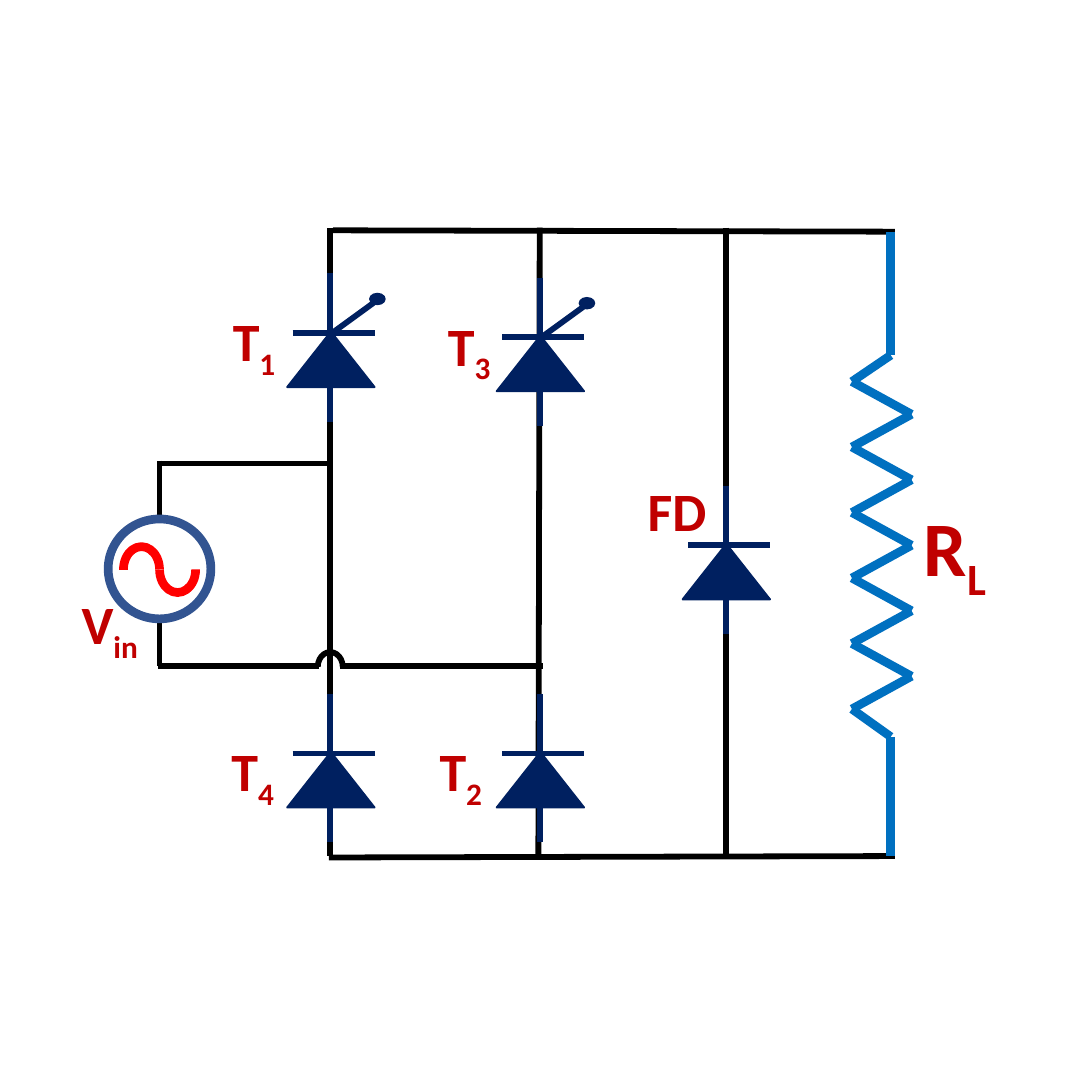
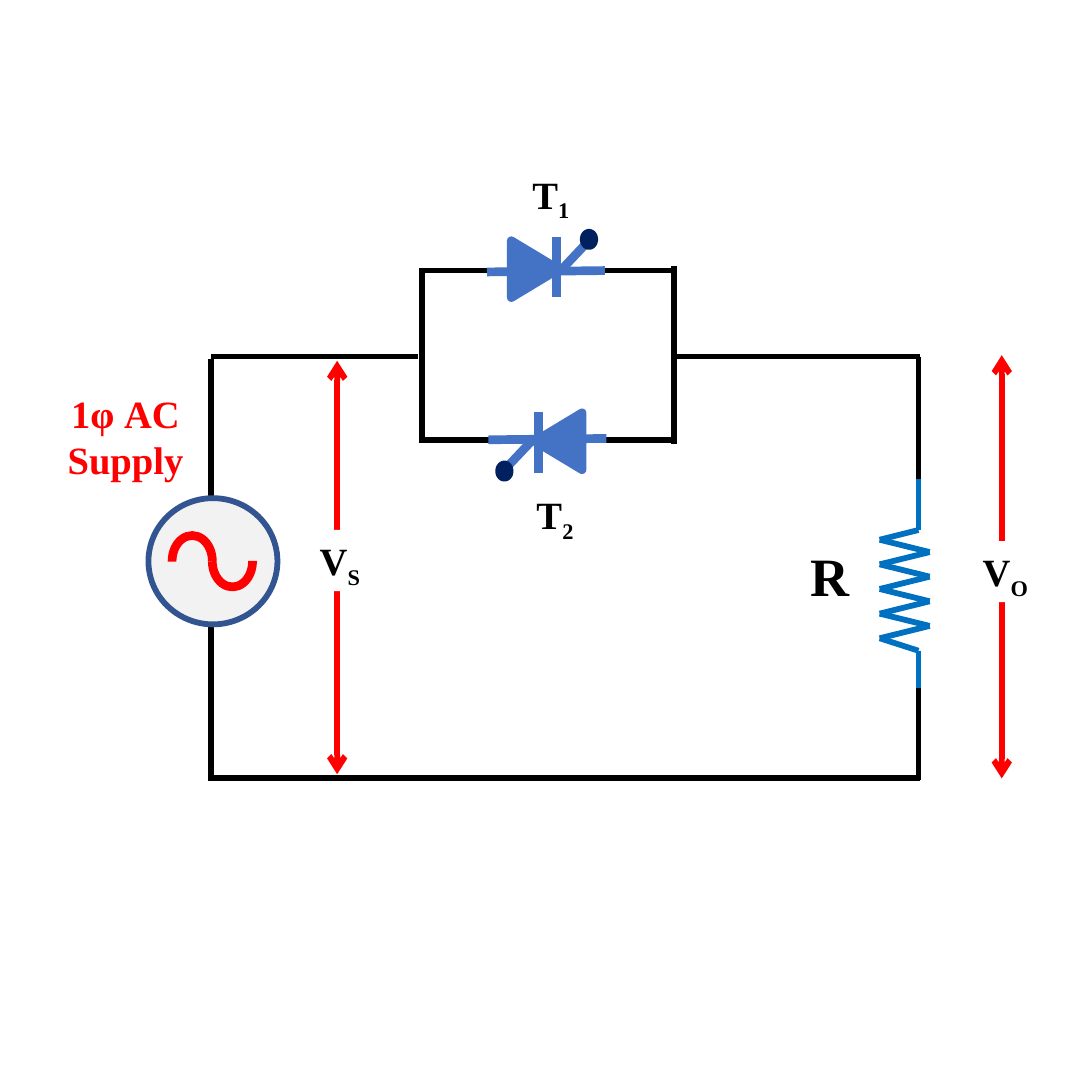
from itertools import pairwise

from lxml.etree import SubElement
from pptx import Presentation
from pptx.dml.color import RGBColor
from pptx.enum.shapes import MSO_CONNECTOR as Link, MSO_SHAPE as Shape
from pptx.enum.text import MSO_AUTO_SIZE as Fit, PP_ALIGN as Align
from pptx.oxml.ns import qn
from pptx.util import Inches, Pt

BLACK, WHITE, RED = "000000", "FFFFFF", "FF0000"
NAVY, BLUE, SKY, STEEL = "002060", "4472C4", "0070C0", "325491"
CRIMSON, GRAY = "C00000", "F2F2F2"
color = RGBColor.from_string


def wire(page, tint, width, *points):
    for start, end in pairwise(points):
        link = page.shapes.add_connector(
            Link.STRAIGHT, *map(Inches, (*start, *end)))
        link.line.color.rgb = color(tint)
        link.line.width = Pt(width)
        SubElement(link._element.spPr, qn("a:effectLst"))
    return link


def form(page, kind, box, fill=None, edge=None, width=1, turn=0):
    shape = page.shapes.add_shape(kind, *map(Inches, box))
    shape.shadow.inherit = False
    shape.rotation = turn
    if fill:
        shape.fill.solid()
        shape.fill.fore_color.rgb = color(fill)
    else:
        shape.fill.background()
    if edge:
        shape.line.color.rgb = color(edge)
        shape.line.width = Pt(width)
    else:
        shape.line.fill.background()
    if kind == Shape.ARC:
        shape.adjustments[0] = 107.397
        shape.adjustments[1] = 0


deck = Presentation()
deck.slide_width = deck.slide_height = Inches(7.87)
bridge, switch = [deck.slides.add_slide(deck.slide_layouts[6]) for _ in range(2)]

for page, lines in (
    (bridge, (
        ((1.15, 3.32), (1.15, 4.8)),
        ((3.89, 1.64), (3.88, 6.17)),
        ((2.38, 1.64), (2.38, 6.17)),
        ((5.23, 1.64), (5.23, 6.17)),
        ((2.4, 1.66), (6.45, 1.67)),
        ((2.37, 6.18), (6.45, 6.17)),
        ((1.15, 3.34), (2.37, 3.34)),
        ((1.14, 4.8), (2.3, 4.8)),
        ((2.45, 4.8), (3.91, 4.8)),
    )),
    (switch, (
        ((4.87, 3.17), (3.02, 3.17)),
        ((4.87, 1.95), (3.02, 1.95)),
        ((3.01, 2.57), (1.52, 2.57)),
        ((1.52, 2.59), (1.52, 5.61)),
        ((6.63, 2.57), (4.86, 2.57)),
        ((6.62, 2.57), (6.62, 3.45)),
        ((6.62, 4.96), (6.62, 5.62)),
        ((3.04, 1.97), (3.04, 3.15)),
        ((4.86, 1.92), (4.86, 3.2)),
        ((6.63, 5.61), (1.5, 5.61)),
    )),
):
    for ends in lines:
        wire(page, BLACK, 3, *ends)
form(bridge, Shape.ARC, (2.29, 4.7, 0.18, 0.21), None, BLACK, 3)

for page, ring, fill, width, wave in (
    (bridge, (0.78, 3.74, 0.74, 0.72), WHITE, 4.5, (0.89, 3.94, 0.26, 0.33)),
    (switch, (1.07, 3.59, 0.93, 0.91), GRAY, 3, (1.24, 3.86, 0.29, 0.37)),
):
    form(page, Shape.OVAL, ring, fill, STEEL, width)
    left, top, wide, high = wave
    for step in range(2):
        box = (left + step * wide, top, wide, high)
        form(page, Shape.ARC, box, None, RED, 4.5, 180 * step)

for page, width, x, left, right, ends, bends, count in (
    (bridge, 4.5, 6.42, 6.14, 6.57, (1.67, 2.56, 5.31, 6.17), (2.75, 5.11), 10),
    (switch, 3, 6.62, 6.34, 6.7, (3.45, 3.82, 4.69, 4.96), (3.89, 4.6), 8),
):
    first, last = bends
    gap = (last - first) / count
    zigzag = [(right if k % 2 else left, first + k * gap) for k in range(count + 1)]
    tips = [(x, y) for y in ends]
    wire(page, SKY, width, *tips[:2], *zigzag, *tips[2:])

for x, y, gate in (
    (2.38, 2.4, True),
    (3.89, 2.43, True),
    (5.23, 3.93, False),
    (2.38, 5.43, False),
    (3.89, 5.43, False),
):
    form(bridge, Shape.ISOSCELES_TRIANGLE, (x - 0.31, y - 0.01, 0.63, 0.4), NAVY, NAVY)
    wire(bridge, NAVY, 3, (x - 0.27, y), (x + 0.32, y))
    wire(bridge, NAVY, 3, (x, y - 0.43), (x, y + 0.64))
    if gate:
        form(bridge, Shape.OVAL, (x + 0.28, y - 0.29, 0.12, 0.09), NAVY)
        wire(bridge, NAVY, 3, (x + 0.33, y - 0.23), (x, y + 0.01))

for lead, body, bar, gate, dot, turn in (
    (((3.51, 1.96), (4.36, 1.95)), (3.65, 1.77), ((4.01, 2.14), (4.01, 1.71)),
     ((4.05, 1.94), (4.22, 1.76)), (4.2, 1.69), 90),
    (((4.37, 3.16), (3.52, 3.17)), (3.82, 3.01), ((3.88, 2.97), (3.88, 3.41)),
     ((3.83, 3.18), (3.66, 3.36)), (3.59, 3.36), 270),
):
    wire(switch, BLUE, 4.5, *lead)
    form(switch, Shape.ISOSCELES_TRIANGLE, (*body, 0.41, 0.34), BLUE, BLUE, 4.5, turn)
    wire(switch, BLUE, 4.5, *bar)
    wire(switch, BLUE, 4.5, *gate)
    form(switch, Shape.OVAL, (*dot, 0.09, 0.07), NAVY, NAVY, 4.5, 90)

for x, top, base in ((7.22, 2.56, 5.61), (2.43, 2.6, 5.58)):
    arrow = wire(switch, RED, 3, (x, top), (x, base))
    line = arrow._element.spPr.find(qn("a:ln"))
    for tip in ("a:headEnd", "a:tailEnd"):
        SubElement(line, qn(tip), type="arrow")

SANS, SERIF = "Calibri", "Times New Roman"
for page, face, align, labels in (
    (bridge, SANS, Align.LEFT, (
        ("T", "1", (1.58, 2.17, 0.84, 0.57), 28, CRIMSON, None),
        ("T", "3", (3.13, 2.2, 0.84, 0.57), 28, CRIMSON, None),
        ("T", "2", (3.07, 5.27, 0.84, 0.57), 28, CRIMSON, None),
        ("T", "4", (1.57, 5.27, 0.84, 0.57), 28, CRIMSON, None),
        ("V", "in", (0.49, 4.21, 0.84, 0.57), 28, CRIMSON, None),
        ("FD", "", (4.57, 3.39, 0.84, 0.57), 28, CRIMSON, None),
        ("R", "L", (6.56, 3.55, 0.84, 0.77), 40, CRIMSON, None),
    )),
    (switch, SERIF, Align.CENTER, (
        ("1φ AC Supply", "", (0.32, 2.76, 1.17, 0.77), 20, RED, None),
        ("V", "O", (6.92, 3.9, 0.65, 0.44), 20, BLACK, WHITE),
        ("V", "S", (2.15, 3.82, 0.6, 0.44), 20, BLACK, WHITE),
        ("R", "", (5.73, 3.86, 0.5, 0.57), 28, BLACK, None),
        ("T", "1", (3.64, 1.18, 0.66, 0.44), 20, BLACK, None),
        ("T", "2", (3.67, 3.49, 0.66, 0.44), 20, BLACK, None),
    )),
):
    for text, sub, box, size, tint, fill in labels:
        label = page.shapes.add_textbox(*map(Inches, box))
        if fill:
            label.fill.solid()
            label.fill.fore_color.rgb = color(fill)
        frame = label.text_frame
        frame.word_wrap = True
        frame.auto_size = Fit.SHAPE_TO_FIT_TEXT
        para = frame.paragraphs[0]
        para.alignment = align
        font = para.font
        font.name, font.size, font.bold = face, Pt(size), True
        font.color.rgb = color(tint)
        para.add_run().text = text
        if sub:
            run = para.add_run()
            run.text = sub
            run._r.get_or_add_rPr().set("baseline", "-25000")

deck.save("out.pptx")
